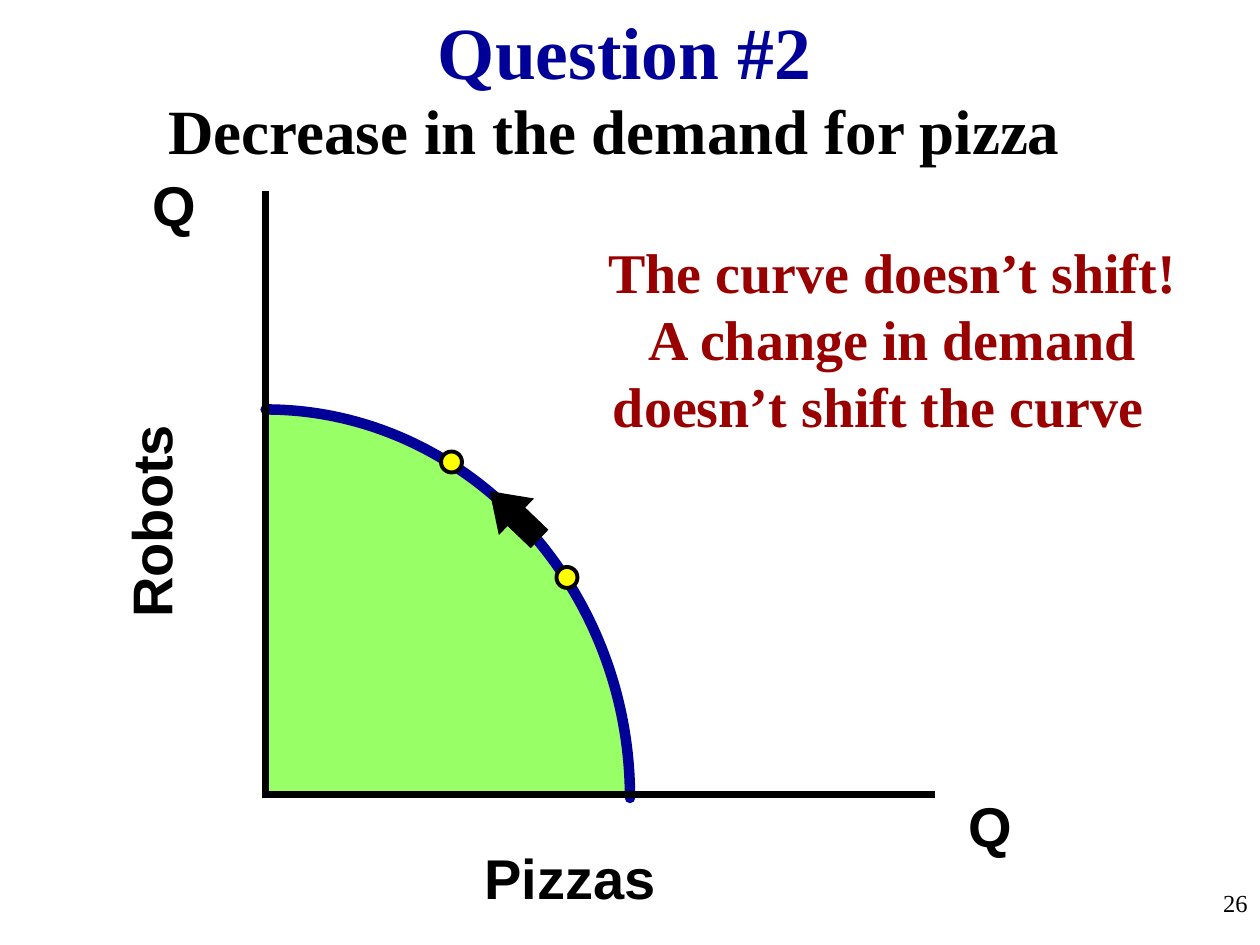
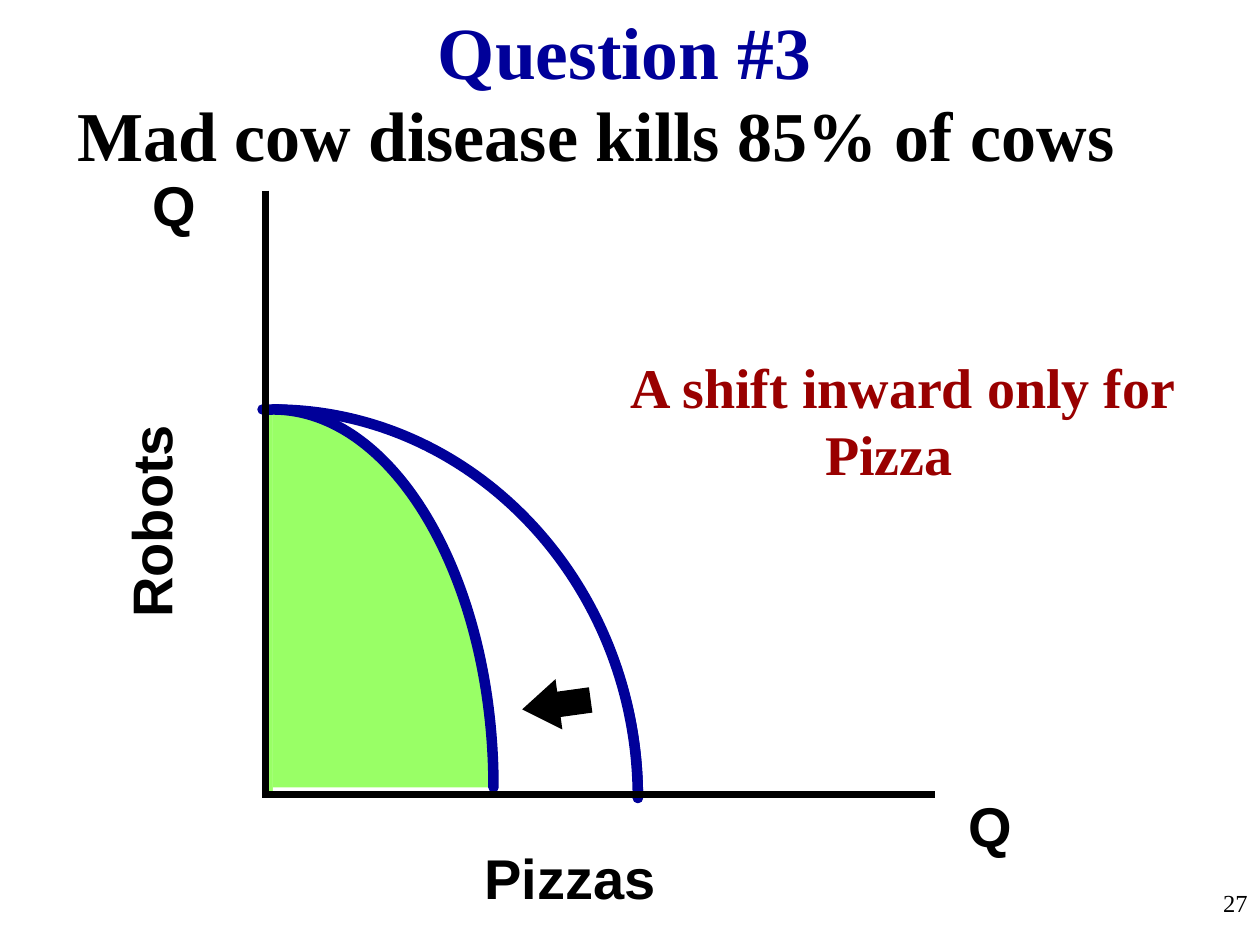
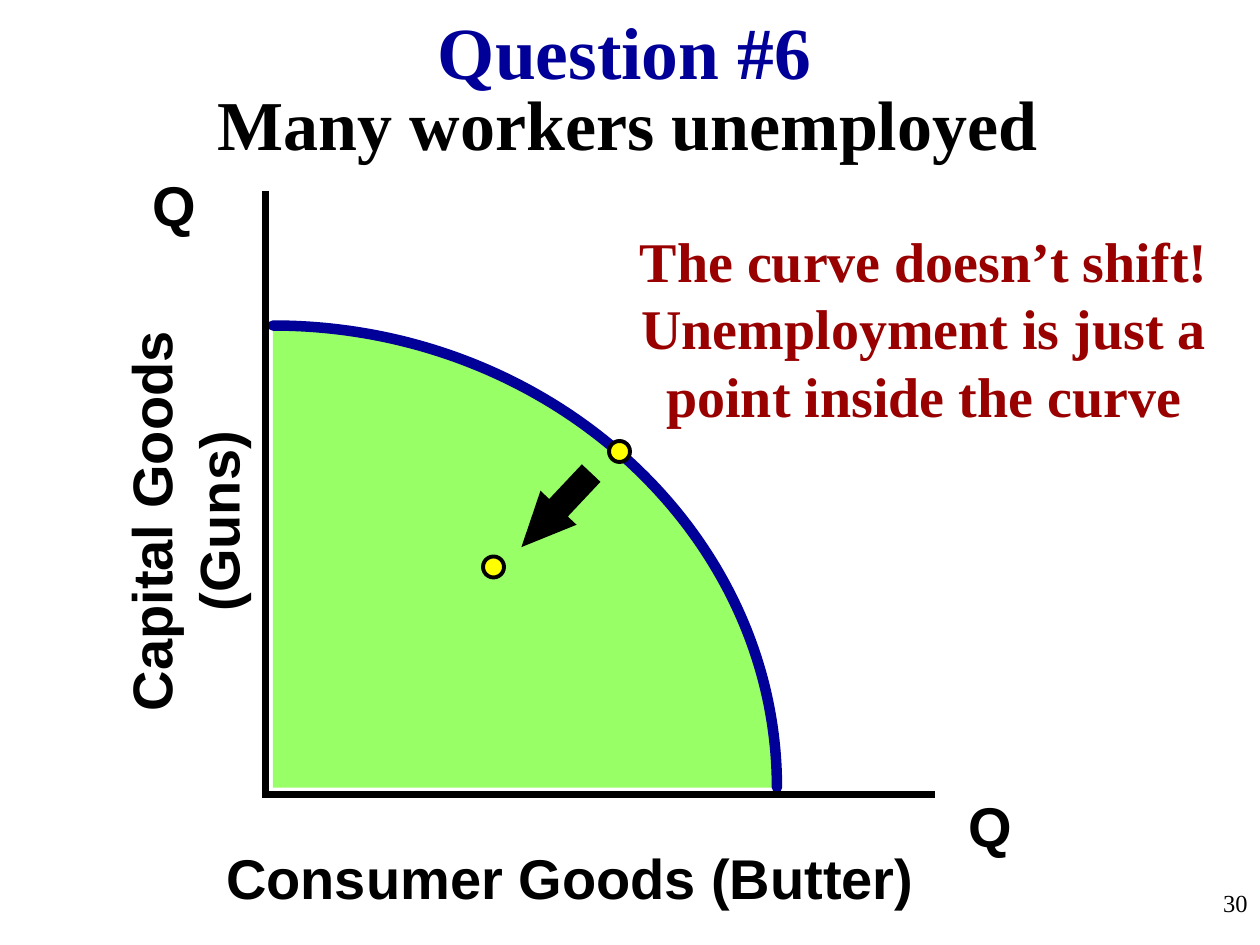
from copy import deepcopy
from dataclasses import dataclass

from lxml import etree
from pptx import Presentation
from pptx.dml.color import RGBColor as Rgb
from pptx.enum.shapes import MSO_CONNECTOR as Connector, MSO_SHAPE as Preset
from pptx.enum.text import MSO_AUTO_SIZE as AutoSize, PP_ALIGN as Align
from pptx.oxml.ns import qn
from pptx.util import Inches, Pt


@dataclass(frozen=True)
class Theme:
    navy = Rgb(0x00, 0x00, 0x99)
    red = Rgb(0x99, 0x00, 0x00)
    green = Rgb(0x99, 0xFF, 0x66)
    yellow = Rgb(0xFF, 0xFF, 0x00)
    black = Rgb(0x00, 0x00, 0x00)
    white = Rgb(0xFF, 0xFF, 0xFF)
    serif = "Times New Roman"
    sans = "Arial"
    curve_line = Pt(6)
    axis_line = Pt(4)
    arrow_line = Pt(2)
    point_line = Pt(2.25)


theme = Theme()

# Each style: colour, font values, paragraph values
STYLES = {
    "title": (theme.navy, dict(name=theme.serif, size=Pt(42), bold=True),
              dict(alignment=Align.CENTER)),
    "event_36": (theme.black, dict(name=theme.serif, size=Pt(36), bold=True),
                 dict(alignment=Align.CENTER, line_spacing=0.9)),
    "event_40": (theme.black, dict(name=theme.serif, size=Pt(40), bold=True),
                 dict(alignment=Align.CENTER, line_spacing=0.9, space_before=Pt(10))),
    "axis": (theme.black, dict(name=theme.sans, size=Pt(32), bold=True),
             dict(alignment=Align.CENTER)),
    "answer": (theme.red, dict(name=theme.serif, size=Pt(32), bold=True),
               dict(alignment=Align.CENTER)),
    "number": (theme.black, dict(name=theme.serif, size=Pt(14), bold=False),
               dict(alignment=Align.RIGHT)),
}

# Places are in cells of a 120 by 90 grid: left, top, width, height
COLUMNS = 120
ARC_PULL = 0.55  # Bézier handle length for a quarter ellipse
POINT_SIZE = 2
ARROW_HEIGHT = 4.2
AXES = [(25.25, 18.15, 25.25, 76), (25.1, 75.65, 89.05, 75.65)]

QUESTIONS = [
    dict(
        title="Question #2", number="26",
        event=("Decrease in the demand for pizza", "event_36", (14, 8.95, 89, 7.7)),
        curves=[(25.3, 39, 34.7, 37, theme.green)],
        goods_up=("Robots", 20.8), goods_across=("Pizzas ", 20.2),
        arrow=dict(left=46, top=47, width=6.12, turn=223.8, head=0.73),
        points=[(53, 54), (42, 43)],
        answer=(["The curve doesn’t shift!",
                 "A change in demand doesn’t shift the curve  "], (56, 22, 58, 20.4)),
    ),
    dict(
        title="Question #3", number="27",
        event=("Mad cow disease kills 85% of cows", "event_40", (5.05, 9, 103.4, 17.3)),
        curves=[(25, 39, 35.75, 37, theme.green),
                (26, 39, 34.75, 37, theme.white),
                (26, 39, 21, 36, theme.green)],
        goods_up=("Robots", 20.8), goods_across=("Pizzas ", 20.2),
        arrow=dict(left=50, top=65, width=6.12, turn=172.2, head=0.73),
        points=[],
        answer=(["A shift inward only for Pizza  "], (57, 33, 58, 14)),
    ),
    dict(
        title="Question #6", number="30",
        event=("Many workers unemployed", "event_40", (10, 8, 99.5, 8.4)),
        curves=[(26, 31, 48, 44, theme.green)],
        goods_up=("Capital Goods (Guns)", 57.2),
        goods_across=("Consumer Goods (Butter) ", 69.5),
        arrow=dict(left=48.5, top=46.4, width=9.12, turn=133.3, head=1.09),
        points=[(46, 53), (58, 42)],
        answer=(["The curve doesn’t shift!",
                 "Unemployment is just a point inside the curve"], (59, 21, 58, 20.4)),
    ),
]

deck = Presentation()
deck.slide_width, deck.slide_height = Inches(10), Inches(7.5)
blank = deck.slide_layouts[6]


def grid(*cells):
    """Turn grid cells into lengths."""
    return [round(cell * deck.slide_width / COLUMNS) for cell in cells]


def add_text(page, lines, style, place, wrap=True, turn=0):
    colour, font_values, para_values = STYLES[style]
    box = page.shapes.add_textbox(*grid(*place))
    box.rotation = turn
    box.text_frame.word_wrap = wrap
    box.text_frame.auto_size = AutoSize.SHAPE_TO_FIT_TEXT
    box.text_frame.text = "\n".join(lines)
    for para in box.text_frame.paragraphs:
        for name, value in para_values.items():
            setattr(para, name, value)
        for span in para.runs:
            span.font.color.rgb = colour
            for name, value in font_values.items():
                setattr(span.font, name, value)


for question in QUESTIONS:
    page = deck.slides.add_slide(blank)

    # Production curves: a filled quarter ellipse with only its arc outlined
    for left, top, width, height, fill in question["curves"]:
        right, bottom = left + width, top + height
        builder = page.shapes.build_freeform(*grid(left, top))
        builder.add_line_segments([grid(right, bottom), grid(left, bottom)], close=True)
        curve = builder.convert_to_shape()
        curve.shadow.inherit = False
        curve.fill.solid()
        curve.fill.fore_color.rgb = fill
        curve.line.color.rgb = theme.navy
        curve.line.width = theme.curve_line
        curve.element.spPr.find(qn("a:ln")).set("cap", "rnd")

        area = next(curve.element.iter(qn("a:path")))
        across, down = curve.width, curve.height
        arc = etree.Element(qn("a:cubicBezTo"))
        for x, y in [(across * ARC_PULL, 0), (across, down * (1 - ARC_PULL)), (across, down)]:
            etree.SubElement(arc, qn("a:pt"), x=str(round(x)), y=str(round(y)))
        area.replace(area[1], arc)
        outline = deepcopy(area)
        for corner_part in outline[-2:]:
            outline.remove(corner_part)
        area.set("stroke", "0")
        outline.set("fill", "none")
        area.addprevious(outline)

    event, event_style, event_place = question["event"]
    add_text(page, [event], event_style, event_place)

    axes = page.shapes.add_group_shape()
    for ends in AXES:
        axis = axes.shapes.add_connector(Connector.STRAIGHT, *grid(*ends))
        axis.line.color.rgb = theme.black
        axis.line.width = theme.axis_line
        etree.SubElement(axis.element.spPr, qn("a:effectLst"))

    for left, top in [(13.35, 15.6), (91.1, 74.8)]:
        add_text(page, ["Q"], "axis", (left, top, 6.5, 7.6), wrap=False)
    goods, width = question["goods_up"]
    add_text(page, [goods], "axis", (14.3 - width / 2, 45.85, width, 7.6), False, 270)
    goods, width = question["goods_across"]
    add_text(page, [goods], "axis", (55.05 - width / 2, 79.7, width, 7.6), False)

    add_text(page, [question["title"]], "title", (13, 0, 93, 9.6))
    add_text(page, [question["number"]], "number", (95, 84, 25, 6))

    # Movement arrow and the points it joins
    arrow = question["arrow"]
    arrow_place = (arrow["left"], arrow["top"], arrow["width"], ARROW_HEIGHT)
    marks = [(Preset.RIGHT_ARROW, arrow_place, theme.black, theme.arrow_line)]
    marks += [(Preset.OVAL, (*point, POINT_SIZE, POINT_SIZE), theme.yellow, theme.point_line)
              for point in question["points"]]
    for preset, place, fill, line_width in marks:
        mark = page.shapes.add_shape(preset, *grid(*place))
        mark.shadow.inherit = False
        mark.fill.solid()
        mark.fill.fore_color.rgb = fill
        mark.line.color.rgb = theme.black
        mark.line.width = line_width
        if preset == Preset.RIGHT_ARROW:
            mark.rotation = arrow["turn"]
            mark.adjustments[1] = arrow["head"]
            etree.SubElement(mark.element.spPr.find(qn("a:ln")), qn("a:miter"), lim="800000")

    answer, answer_place = question["answer"]
    add_text(page, answer, "answer", answer_place)

deck.save("out.pptx")
